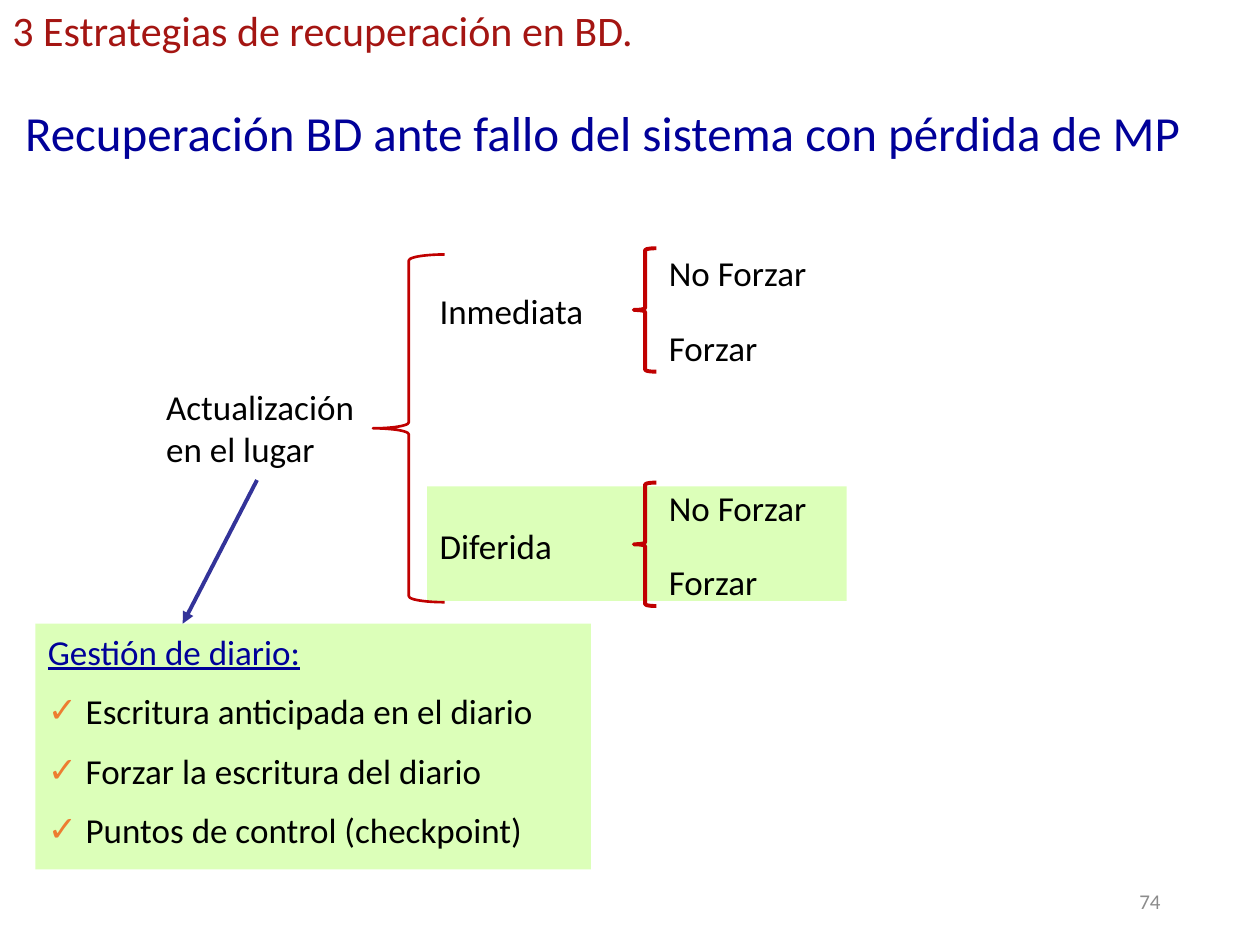
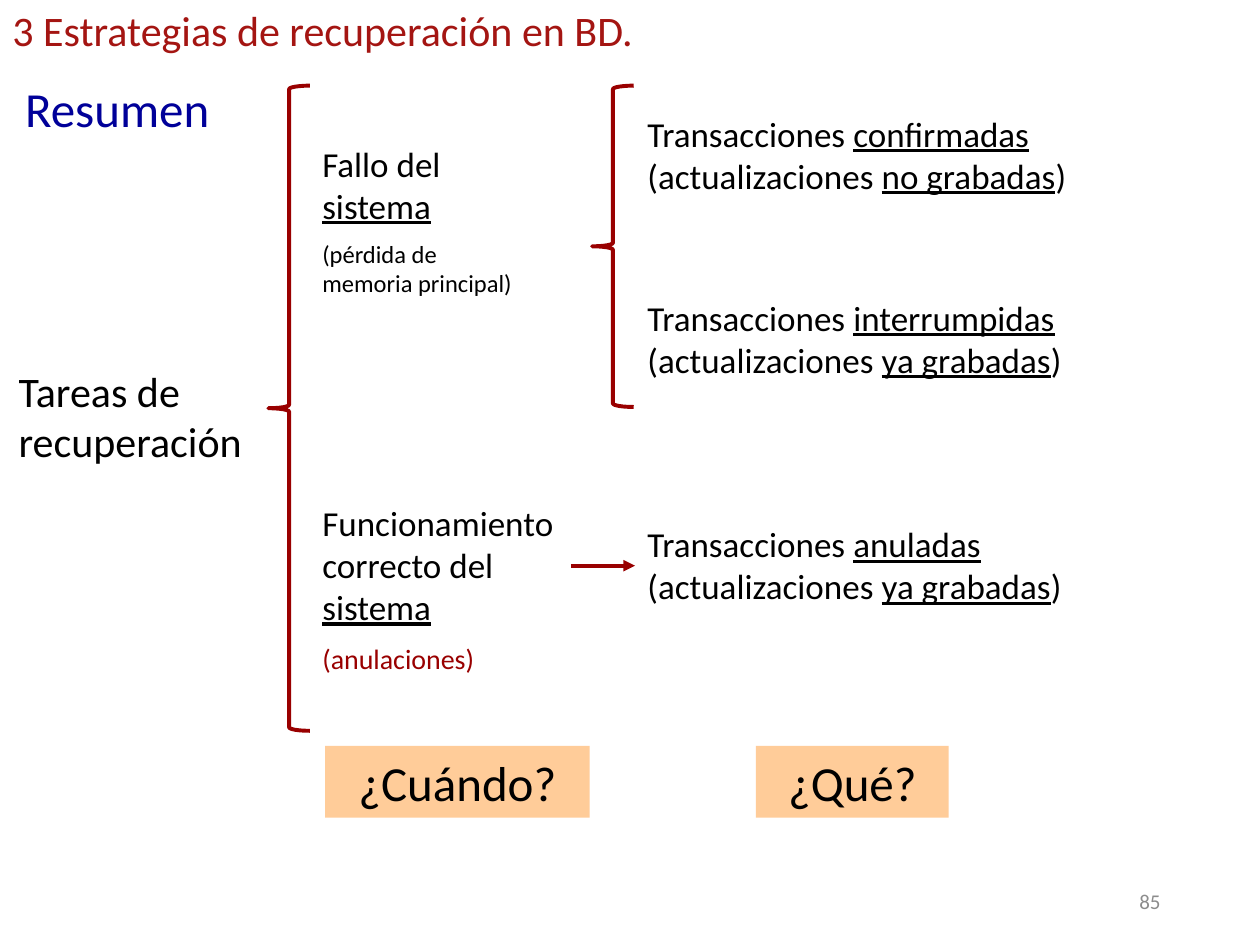
from pptx import Presentation
from pptx.dml.color import RGBColor
from pptx.enum.shapes import MSO_CONNECTOR as Connector, MSO_SHAPE as Shape
from pptx.enum.text import MSO_ANCHOR as Anchor, MSO_AUTO_SIZE as AutoSize, PP_ALIGN as Align
from pptx.oxml.ns import qn
from pptx.util import Emu, Pt
from lxml.etree import SubElement

PX = 9144
FONT = "Calibri"
SECTION = "3 Estrategias de recuperación en BD."
COLORS = {
    "black": "000000",
    "navy": "000099",
    "section": "A41512",
    "gray": "8C8C8C",
    "red": "C00000",
    "dark_red": "990000",
    "arrow": "333399",
    "green": "DCFFB9",
    "peach": "FFCC99",
    "check": "ED7D31",
}
FRAME = {
    "word_wrap": True,
    "auto_size": AutoSize.NONE,
    "vertical_anchor": Anchor.TOP,
    "margin_left": 10 * PX,
    "margin_right": 10 * PX,
    "margin_top": 5 * PX,
    "margin_bottom": 5 * PX,
}


def px(*lengths):
    return [Emu(length * PX) for length in lengths]


def rgb(name):
    return RGBColor.from_string(COLORS[name])


def set_values(target, values):
    for name, value in values.items():
        setattr(target, name, value)


class Deck:
    def __init__(self):
        self.presentation = Presentation()
        set_values(self.presentation, dict(zip(("slide_width", "slide_height"), px(1000, 750))))
        self.slide = None

    def new_slide(self, layout, title, title_box, number):
        self.slide = self.presentation.slides.add_slide(self.presentation.slide_layouts[layout])
        self.place(self.slide.shapes.title, title_box)
        self.set_lines(self.slide.shapes.title, [(title, 28, "navy")])
        self.text((0, -1, 517, 50), SECTION, 24, "section", word_wrap=False)
        self.text((706, 695, 225, 40), number, 12, "gray", Align.RIGHT,
                  vertical_anchor=Anchor.MIDDLE)

    def place(self, shape, box):
        set_values(shape, dict(zip(("left", "top", "width", "height"), px(*box))))

    def set_lines(self, shape, lines, align=Align.LEFT, **frame_values):
        frame = shape.text_frame
        set_values(frame, FRAME | frame_values)
        for index, (text, size, color) in enumerate(lines):
            paragraph = frame.add_paragraph() if index else frame.paragraphs[0]
            set_values(paragraph, {"alignment": align,
                                   "space_before": Pt(size // 2 if index else 0)})
            for position, part in enumerate(text.split("_")):
                if part:
                    run = paragraph.add_run()
                    run.text = part
                    set_values(run.font, {"name": FONT, "size": Pt(size),
                                          "underline": position % 2 == 1})
                    run.font.color.rgb = rgb(color)

    def paragraphs(self, box, lines, align=Align.LEFT, **frame_values):
        shape = self.slide.shapes.add_textbox(*px(*box))
        self.set_lines(shape, lines, align, **frame_values)
        return shape

    def text(self, box, text, size=20, color="black", align=Align.LEFT, **frame_values):
        return self.paragraphs(box, [(text, size, color)], align, **frame_values)

    def checklist(self, box, heading, items, fill):
        body = self.slide.placeholders[1]
        self.place(body, box)
        body.fill.solid()
        body.fill.fore_color.rgb = rgb(fill)
        self.set_lines(body, [(heading, 20, "navy")] + [(item, 20, "black") for item in items])
        for index, paragraph in enumerate(body.text_frame.paragraphs):
            properties = paragraph._p.get_or_add_pPr()
            indent = 30 * PX if index else 0
            properties.set("marL", str(indent))
            properties.set("indent", str(-indent))
            if index:
                bullet_color = SubElement(properties, qn("a:buClr"))
                SubElement(bullet_color, qn("a:srgbClr"), val=COLORS["check"])
                SubElement(properties, qn("a:buChar"), char="✓")
            else:
                SubElement(properties, qn("a:buNone"))

    def rectangle(self, box, fill, text=None):
        shape = self.slide.shapes.add_shape(Shape.RECTANGLE, *px(*box))
        shape.shadow.inherit = False
        shape.fill.solid()
        shape.fill.fore_color.rgb = rgb(fill)
        shape.line.fill.background()
        if text:
            self.set_lines(shape, [(text, 28, "black")], Align.CENTER)

    def brace(self, box, color, width=2.25):
        shape = self.slide.shapes.add_shape(Shape.LEFT_BRACE, *px(*box))
        shape.shadow.inherit = False
        shape.fill.background()
        shape.line.color.rgb = rgb(color)
        shape.line.width = Pt(width)

    def arrow(self, start, end, color, target=None):
        connector = self.slide.shapes.add_connector(Connector.STRAIGHT, *px(*start, *end))
        if target is not None:
            connector.end_connect(target, 1)
        connector.line.color.rgb = rgb(color)
        connector.line.width = Pt(2.25)
        properties = connector._element.spPr
        SubElement(properties.find(qn("a:ln")), qn("a:tailEnd"), type="triangle")
        SubElement(properties, qn("a:effectLst"))


def build_update_strategies(deck):
    deck.new_slide(1, "Recuperación BD ante fallo del sistema con pérdida de MP",
                   (10, 76, 960, 57), "74")
    deck.rectangle((339, 386, 333, 91), "green")
    deck.text((122, 301, 195, 77), "Actualización en el lugar")
    deck.brace((296, 202, 57, 276), "red", 1.5)
    for top, moment in ((195, "Inmediata"), (381, "Diferida")):
        deck.text((339, top + 30, 163, 44), moment)
        deck.text((521, top, 150, 44), "No Forzar")
        deck.text((521, top + 59, 150, 44), "Forzar")
        deck.brace((503, top + 2, 18, 98), "red")
    deck.checklist((28, 495, 441, 195), "_Gestión de diario:_",
                   ["Escritura anticipada en el diario",
                    "Forzar la escritura del diario",
                    "Puntos de control (checkpoint)"], "green")
    deck.arrow((204, 381), (145, 495), "arrow")


def build_summary(deck):
    deck.new_slide(5, "Resumen", (10, 57, 225, 57), "85")
    deck.text((5, 285, 224, 91), "Tareas de recuperación", 24)
    deck.paragraphs((246, 108, 180, 136),
                    [("Fallo del _sistema_", 20, "black"),
                     ("(pérdida de memoria principal)", 14, "black")])
    deck.paragraphs((246, 393, 222, 147),
                    [("Funcionamiento correcto del _sistema_", 20, "black"),
                     ("(anulaciones)", 16, "dark_red")])
    for top, state, saved in ((84, "confirmadas", "no"), (230, "interrumpidas", "ya"),
                              (410, "anuladas", "ya")):
        transactions = deck.text(
            (504, top, 417, 78),
            f"Transacciones _{state}_ (actualizaciones _{saved} grabadas_)")
    for left, width, question in ((258, 210, "¿Cuándo?"), (600, 153, "¿Qué?")):
        deck.rectangle((left, 592, width, 57), "peach", question)
    for left, height in ((470, 255), (213, 512)):
        deck.brace((left, 68, 33, height), "dark_red")
    deck.arrow((453, 449), (504, 449), "dark_red", transactions)


def main():
    deck = Deck()
    build_update_strategies(deck)
    build_summary(deck)
    deck.presentation.save("out.pptx")


if __name__ == "__main__":
    main()
